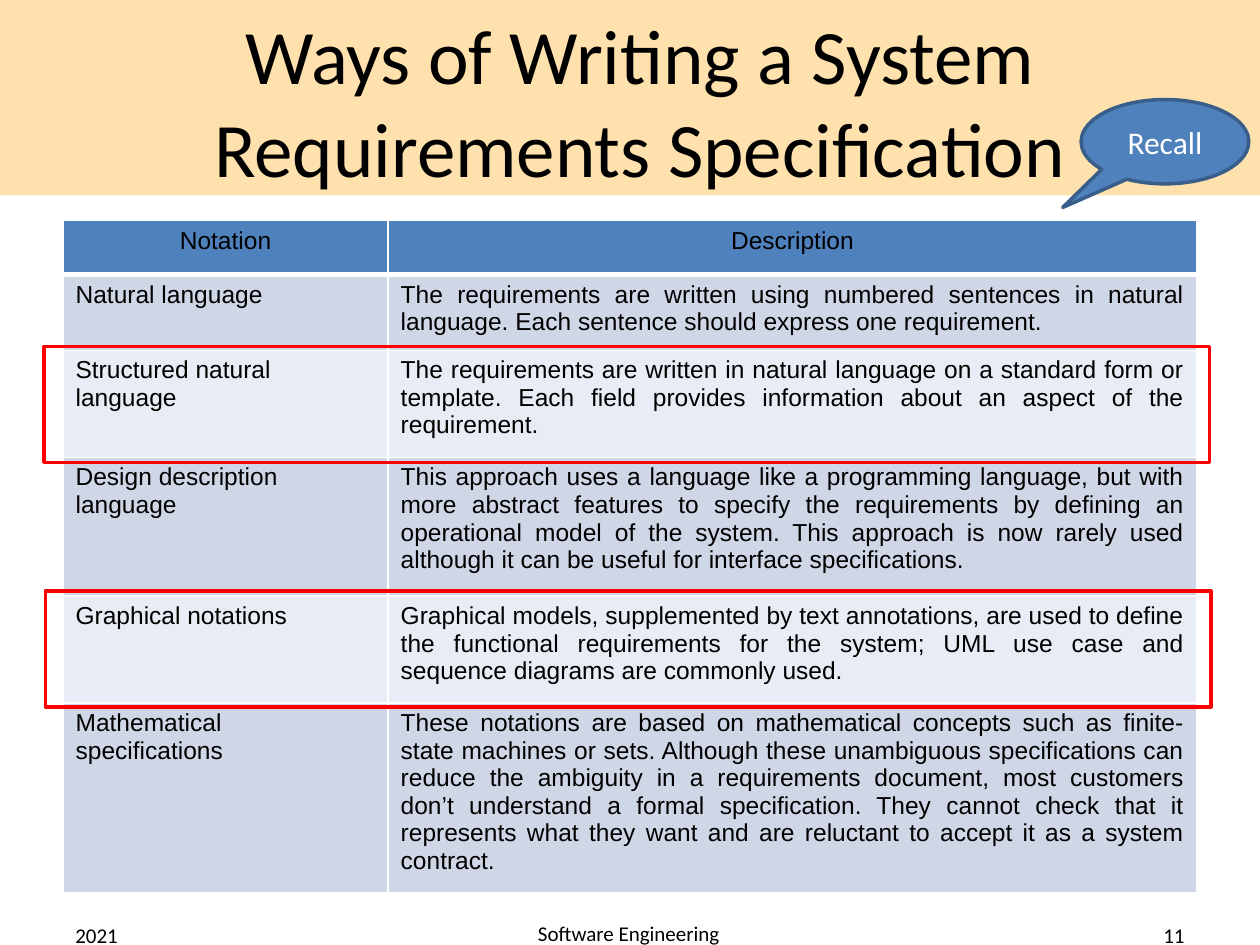
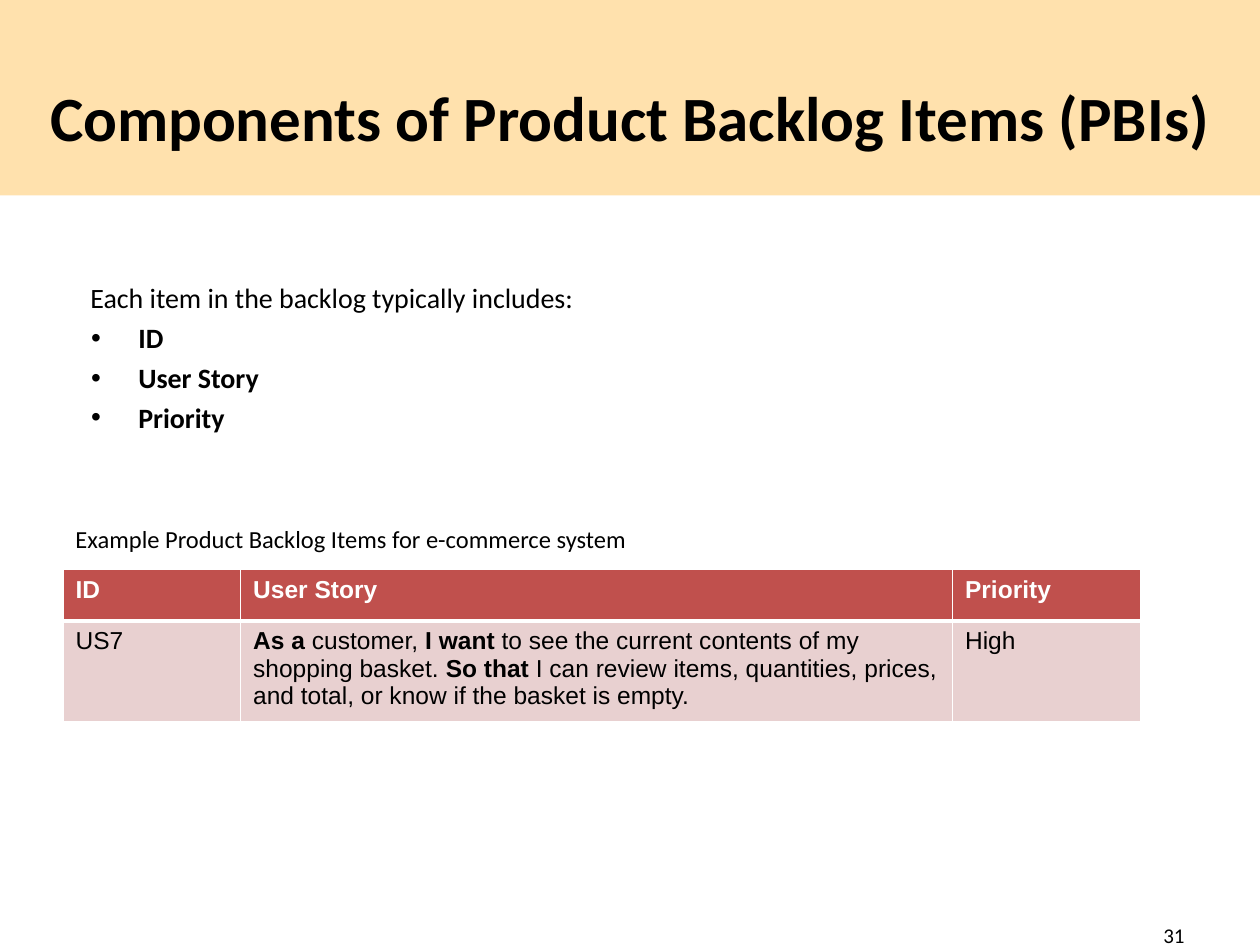
from lxml import etree
from pptx import Presentation
from pptx.dml.color import RGBColor
from pptx.enum import shapes, text
from pptx.oxml import ns
from pptx.util import Pt

COLORS = {"band": "FFE1AD", "black": "000000", "white": "FFFFFF", "blue": "4F81BD",
          "blue_edge": "395E89", "blue_dark": "CFD7E7", "blue_light": "E8ECF4",
          "red": "FF0000", "brick": "C0504D", "pink": "E8D0D0"}
LEFT, CENTER = text.PP_ALIGN.LEFT, text.PP_ALIGN.CENTER
RIGHT, JUSTIFY = text.PP_ALIGN.RIGHT, text.PP_ALIGN.JUSTIFY
TOP, MIDDLE = text.MSO_ANCHOR.TOP, text.MSO_ANCHOR.MIDDLE

NOTATIONS = [
    ("Notation", "Description"),
    ("Natural language",
     "The requirements are written using numbered sentences in natural language. "
     "Each sentence should express one requirement."),
    ("Structured natural language",
     "The requirements are written in natural language on a standard form or template. "
     "Each field provides information about an aspect of the requirement."),
    ("Design description language",
     "This approach uses a language like a programming language, but with more abstract "
     "features to specify the requirements by defining an operational model of the system. "
     "This approach is now rarely used although it can be useful for interface specifications."),
    ("Graphical notations",
     "Graphical models, supplemented by text annotations, are used to define the functional "
     "requirements for the system; UML use case and sequence diagrams are commonly used."),
    ("Mathematical specifications",
     "These notations are based on mathematical concepts such as finite-state machines or sets. "
     "Although these unambiguous specifications can reduce the ambiguity in a requirements "
     "document, most customers don’t understand a formal specification. They cannot check that "
     "it represents what they want and are reluctant to accept it as a system contract."),
]
BACKLOG = [
    ("**ID**", "**User Story**", "**Priority**"),
    ("US7",
     "**As a** customer, **I want** to see the current contents of my shopping basket. "
     "**So that** I can review items, quantities, prices, and total, or know if the basket is empty.",
     "High"),
]
COMPONENTS = ["Each item in the backlog typically includes:", "ID", "User Story", "Priority"]
HIGHLIGHTS = [(25.2, 198), (25.9, 337.7)]


def rgb(name):
    return RGBColor.from_string(COLORS[name])


def box(*lengths):
    return [Pt(n) for n in lengths]


def style(p, size, color="black", font="Calibri", bold=False, align=LEFT):
    p.alignment = align
    for r in p.runs:
        r.font.size, r.font.name, r.font.bold = Pt(size), font, bold
        r.font.color.rgb = rgb(color)


def add_shape(s, kind, at, fill=None, line=None):
    sp = s.shapes.add_shape(kind, *box(*at))
    sp.shadow.inherit = False
    if fill:
        sp.fill.solid()
        sp.fill.fore_color.rgb = rgb(fill)
    else:
        sp.fill.background()
    if line:
        sp.line.color.rgb, sp.line.width = rgb(line), Pt(2)
    else:
        sp.line.fill.background()
    return sp


def add_text(s, at, lines, size, align=LEFT, anchor=TOP):
    tf = s.shapes.add_textbox(*box(*at)).text_frame
    tf.word_wrap, tf.vertical_anchor = True, anchor
    tf.text = "\n".join(lines)
    for p in tf.paragraphs:
        style(p, size, align=align)
    return tf


def add_slide(prs, title, at, size, bold, number):
    s = prs.slides.add_slide(prs.slide_layouts[5])
    sp = s.shapes.title
    sp.left, sp.top, sp.width, sp.height = box(*at)
    tf = sp.text_frame
    tf.text = title
    tf.word_wrap, tf.vertical_anchor = True, MIDDLE
    tf.auto_size = text.MSO_AUTO_SIZE.NONE
    style(tf.paragraphs[0], size, bold=bold, align=CENTER)
    add_text(s, (516.2, 519.8, 167.8, 28.8), [number], 12, RIGHT, MIDDLE)
    return s


def add_band(prs, s):
    band = add_shape(s, shapes.MSO_SHAPE.RECTANGLE, (0, 0, 720, 111.6), "band")
    prs.slide_layouts[5].shapes.element.insert(2, band.element)


def set_borders(cell, bottom):
    tc_pr = cell._tc.get_or_add_tcPr()
    widths = {"lnL": 1, "lnR": 1, "lnT": 1, "lnB": bottom}
    for i, (tag, width) in enumerate(widths.items()):
        ln = etree.Element(ns.qn("a:" + tag), w=str(Pt(width)))
        fill = etree.SubElement(ln, ns.qn("a:solidFill"))
        etree.SubElement(fill, ns.qn("a:srgbClr"), val=COLORS["white"])
        tc_pr.insert(i, ln)


def fill_cell(cell, content, fill, color, align, bottom):
    cell.fill.solid()
    cell.fill.fore_color.rgb = rgb(fill)
    set_borders(cell, bottom)
    p = cell.text_frame.paragraphs[0]
    bolds = []
    for i, part in enumerate(content.split("**")):
        if part:
            p.add_run().text = part
            bolds.append(i % 2 == 1)
    style(p, 14, color, "Arial", align=align)
    for r, bold in zip(p.runs, bolds):
        r.font.bold = bold


def add_table(s, rows, left, top, widths, heights, head, bands, aligns):
    at = box(left, top, sum(widths), sum(heights))
    table = s.shapes.add_table(len(rows), len(widths), *at).table
    table.first_row = table.horz_banding = False
    for column, width in zip(table.columns, widths):
        column.width = Pt(width)
    for i, (row, height) in enumerate(zip(rows, heights)):
        table.rows[i].height = Pt(height)
        for j, content in enumerate(row):
            fill, color, align = head if i == 0 else (bands[(i - 1) % len(bands)], "black", aligns[j])
            fill_cell(table.cell(i, j), content, fill, color, align, 1 if i else 3)


def add_bullet(p):
    p_pr = p._p.get_or_add_pPr()
    p_pr.set("marL", str(Pt(36)))
    p_pr.set("indent", str(-Pt(27)))
    etree.SubElement(p_pr, ns.qn("a:buFont"), typeface="Arial")
    etree.SubElement(p_pr, ns.qn("a:buChar"), char="•")


def notation_slide(prs):
    s = add_slide(prs, "Ways of Writing a System Requirements Specification",
                  (41.8, 12.2, 648, 90), 44, False, "11")
    add_band(prs, s)
    add_table(s, NOTATIONS, 36, 126, (185.8, 462.2), (31, 43.2, 61.2, 79.2, 61.2, 96.5),
              ("blue", "black", CENTER), ("blue_dark", "blue_light"), (LEFT, JUSTIFY))
    callout = add_shape(s, shapes.MSO_SHAPE.OVAL_CALLOUT, (617.8, 56.9, 95.8, 48.2),
                        "blue", "blue_edge")
    callout.adjustments[0], callout.adjustments[1] = -0.61, 0.78
    callout.text_frame.text = "Recall"
    callout.text_frame.vertical_anchor = MIDDLE
    style(callout.text_frame.paragraphs[0], 18, "white", align=CENTER)
    for left, top in HIGHLIGHTS:
        add_shape(s, shapes.MSO_SHAPE.RECTANGLE, (left, top, 666, 66.2), line="red")
    add_text(s, (194.4, 521.3, 329.8, 23.8), ["Software Engineering"], 12, CENTER, MIDDLE)
    add_text(s, (36, 519.8, 167.8, 28.8), ["2021"], 12, LEFT, MIDDLE)


def backlog_slide(prs):
    s = add_slide(prs, "Components of Product Backlog Items (PBIs)",
                  (0, 21.6, 720, 90), 36, True, "31")
    tf = add_text(s, (36, 157, 648, 132.5), COMPONENTS, 16)
    intro, *items = tf.paragraphs
    intro._p.get_or_add_pPr().set("marL", str(Pt(8.6)))
    for p in items:
        add_bullet(p)
        p.space_before = Pt(3.6)
        style(p, 16, bold=True)
    add_text(s, (36, 295.9, 360, 25), ["Example Product Backlog Items for e-commerce system"], 14)
    add_table(s, BACKLOG, 36, 325.4, (101.5, 406.8, 107.3), (29.5, 57.3),
              ("brick", "white", LEFT), ("pink",), (LEFT, LEFT, LEFT))


def main():
    prs = Presentation()
    prs.slide_width, prs.slide_height = Pt(720), Pt(540)
    notation_slide(prs)
    backlog_slide(prs)
    prs.save("out.pptx")


if __name__ == "__main__":
    main()
